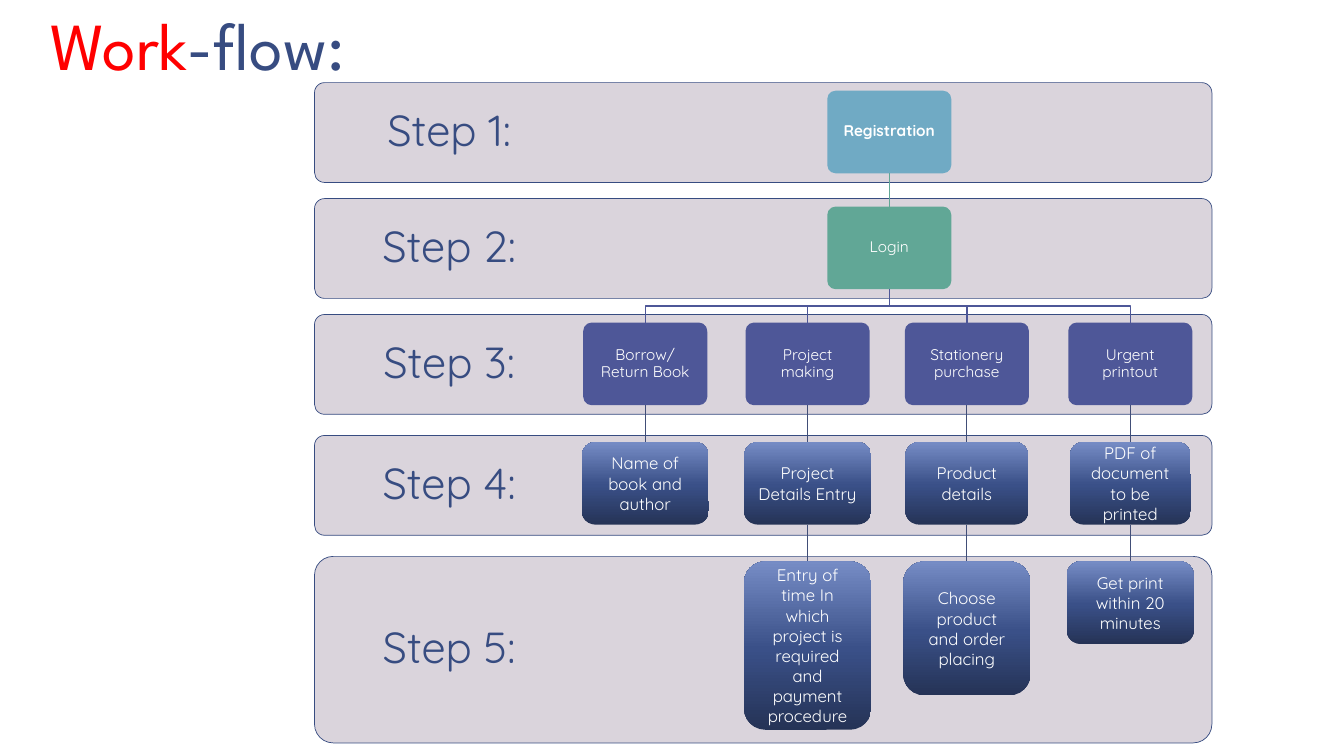
import copy
from dataclasses import dataclass

import pptx
import pptx.dml.color
import pptx.enum.shapes
import pptx.enum.text
import pptx.oxml
import pptx.oxml.ns
import pptx.util


@dataclass(frozen=True)
class Theme:
    title_font: str = "League Spartan"
    body_font: str = "Quicksand"
    title_size: int = 48
    step_size: int = 31
    node_size: int = 11
    detail_size: int = 12
    navy: str = "374C81"
    red: str = "FF0000"
    white: str = "FFFFFF"
    band: str = "DAD4DC"
    blue: str = "70AAC4"
    green: str = "61A796"
    indigo: str = "4E5798"
    link: str = "414E77"
    gradient: tuple = ((0, "253356"), (0.48, "3A5088"), (1, "768CC5"))


theme = Theme()
rgb = pptx.dml.color.RGBColor.from_string
inches = pptx.util.Inches
shape_kind = pptx.enum.shapes.MSO_SHAPE
anchor = pptx.enum.text.MSO_ANCHOR
align = pptx.enum.text.PP_ALIGN

deck = pptx.Presentation()
deck.slide_width, deck.slide_height = inches(13.33), inches(7.5)
page = deck.slides.add_slide(deck.slide_layouts[6])
# The grid has 100 columns and 100 rows.
column, row = deck.slide_width / 100, deck.slide_height / 100


def write(shape, spans, size, font, inset, spacing=1.0, place=align.CENTER):
    """Fill the shape's paragraph with (text, colour, bold) spans."""
    frame = shape.text_frame
    frame.word_wrap = True
    frame.vertical_anchor = anchor.MIDDLE
    frame.margin_left = frame.margin_right = inches(inset[0])
    frame.margin_top = frame.margin_bottom = inches(inset[1])
    para = frame.paragraphs[0]
    para.alignment, para.line_spacing = place, spacing
    for text, color, bold in spans:
        span = para.add_run()
        span.text = text
        span.font.name, span.font.size = font, pptx.util.Pt(size)
        span.font.bold, span.font.color.rgb = bold, rgb(color)


def add_box(left, top, width, height, color):
    """Add a rounded box on the grid; without a colour it gets the gradient."""
    box = page.shapes.add_shape(
        shape_kind.ROUNDED_RECTANGLE,
        round(left * column), round(top * row), round(width * column), round(height * row))
    box.shadow.inherit = False
    box.line.fill.background()
    if color:
        box.adjustments[0] = 0.1
        box.fill.solid()
        box.fill.fore_color.rgb = rgb(color)
        return box
    box.fill.gradient()
    box.fill.gradient_angle = 90
    stop_list = box._element.spPr.find(".//" + pptx.oxml.ns.qn("a:gsLst"))
    stop_list.append(copy.deepcopy(stop_list[0]))
    for stop, (position, stop_color) in zip(box.fill.gradient_stops, theme.gradient):
        stop.position, stop.color.rgb = position, rgb(stop_color)
    return box


title = page.shapes.add_textbox(
    round(2.78 * column), 0, round(29.56 * column), round(12.13 * row))
write(title, [("Work", theme.red, False), ("-flow:", theme.navy, False)],
      theme.title_size, theme.title_font, (0.13, 0.07), 0.85, align.LEFT)
title.text_frame.vertical_anchor = anchor.BOTTOM

# Step bands
band_left, band_width, label_width = 23.4, 66.77, 20.03
bands = [(10.93, 13.2), (26.27, 13.2), (41.6, 13.2), (57.6, 13.2), (73.6, 24.67)]
for number, (top, height) in enumerate(bands, 1):
    band = add_box(band_left, top, band_width, height, theme.band)
    band.line.color.rgb = rgb(theme.navy)
    band.line.width = pptx.util.Pt(0.5)
    label = page.shapes.add_textbox(
        round(band_left * column), round(top * row),
        round(label_width * column), round(height * row))
    write(label, [(f"Step {number}:", theme.navy, False)],
          theme.step_size, theme.body_font, (0.24, 0.24), 0.9)

# Cards: name, text, step, centre column, width, height, colour
trunk = 66.17
borrow, project, stationery, printout = 48.01, 60.09, 71.94, 84.1
node_width, detail_width, card_height = 9.23, 9.45, 10.93
card_tops = [12.0, 27.33, 42.67, 58.47, 74.27]
cards = [
    ("registration", "Registration", 1, trunk, node_width, card_height, theme.blue),
    ("login", "Login", 2, trunk, node_width, card_height, theme.green),
    ("borrow", "Borrow/Return Book", 3, borrow, node_width, card_height, theme.indigo),
    ("project", "Project making", 3, project, node_width, card_height, theme.indigo),
    ("stationery", "Stationery purchase", 3, stationery, node_width, card_height, theme.indigo),
    ("printout", "Urgent printout", 3, printout, node_width, card_height, theme.indigo),
    ("book", "Name of book and author", 4, borrow, detail_width, card_height, None),
    ("entry", "Project Details Entry", 4, project, detail_width, card_height, None),
    ("product", "Product details", 4, stationery, 9.15, card_height, None),
    ("document", "PDF of document to be printed", 4, printout, 9.0, card_height, None),
    ("payment", "Entry of time In which project is required and payment procedure",
     5, project, detail_width, 22.27, None),
    ("order", "Choose product and order placing", 5, stationery, detail_width, 17.73, None),
    ("print", "Get print within 20 minutes", 5, printout, detail_width, card_height, None),
]
boxes = {}
for name, text, step, centre, width, height, color in cards:
    box = add_box(centre - width / 2, card_tops[step - 1], width, height, color)
    size, inset, spacing = (
        (theme.node_size, (0.07, 0.07), 0.9) if color else (theme.detail_size, (0.1, 0.05), 1.0))
    write(box, [(text, theme.white, name == "registration")],
          size, theme.body_font, inset, spacing)
    boxes[name] = box

# Branches from Login to the four services
login_bottom, service_top = card_tops[1] + card_height, card_tops[2]
fork = (login_bottom + service_top) / 2
for centre in (borrow, project, stationery, printout):
    corners = [(trunk, fork), (centre, fork), (centre, service_top)]
    builder = page.shapes.build_freeform(round(trunk * column), round(login_bottom * row))
    builder.add_line_segments(
        [(round(x * column), round(y * row)) for x, y in corners], close=False)
    branch = builder.convert_to_shape()
    branch.shadow.inherit = False
    branch.fill.background()
    branch.line.color.rgb = rgb(theme.indigo)
    branch.line.width = pptx.util.Pt(1)

# Straight links down each column
chains = [
    (("registration", "login"), theme.green, 1),
    (("borrow", "book"), theme.link, 0.5),
    (("project", "entry", "payment"), theme.link, 0.5),
    (("stationery", "product", "order"), theme.link, 0.5),
    (("printout", "document", "print"), theme.link, 0.5),
]
for names, color, weight in chains:
    for upper, lower in zip(names, names[1:]):
        link = page.shapes.add_connector(pptx.enum.shapes.MSO_CONNECTOR.STRAIGHT, 0, 0, 0, 0)
        link.begin_connect(boxes[upper], 2)
        link.end_connect(boxes[lower], 0)
        link.line.color.rgb = rgb(color)
        link.line.width = pptx.util.Pt(weight)
        link._element.spPr.append(pptx.oxml.parse_xml(
            f"<a:effectLst {pptx.oxml.ns.nsdecls('a')}/>"))

deck.save("out.pptx")
